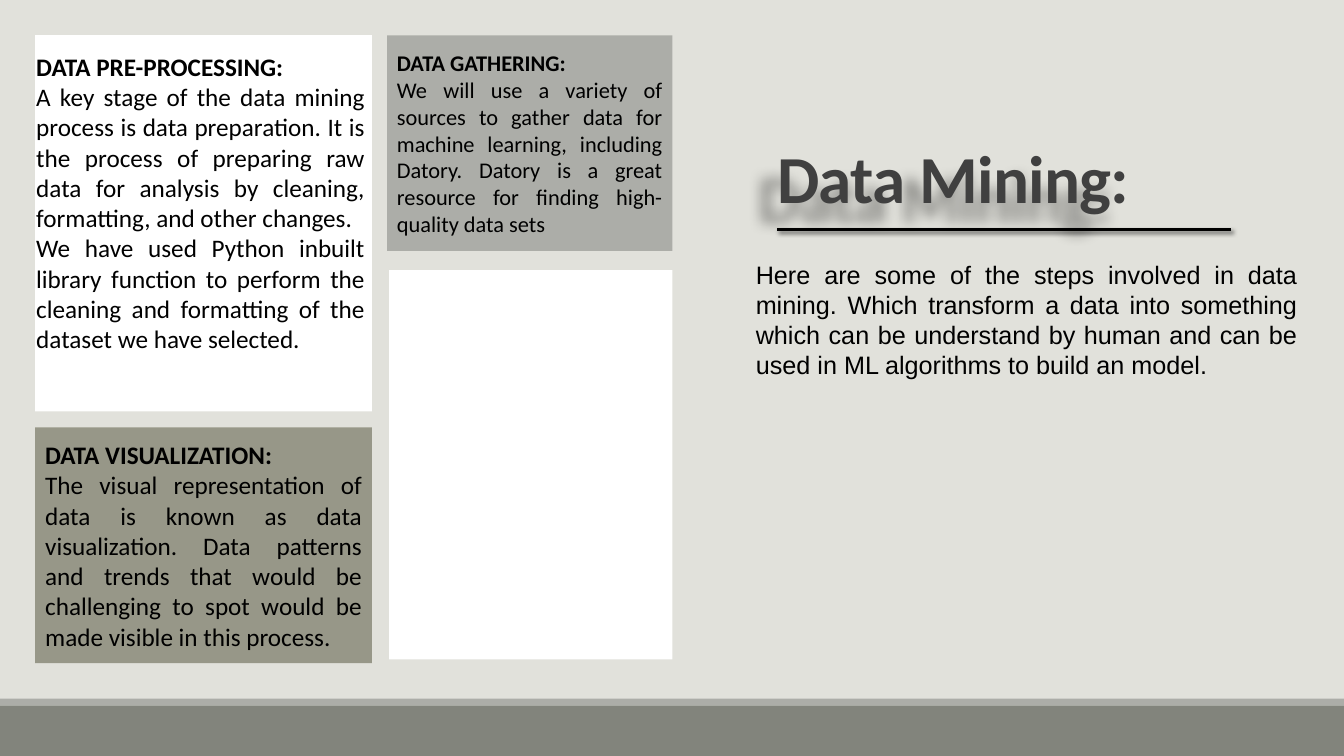
from lxml.etree import SubElement
from pptx import Presentation
from pptx.dml.color import RGBColor
from pptx.enum.shapes import MSO_CONNECTOR, MSO_SHAPE
from pptx.enum.text import MSO_ANCHOR, PP_ALIGN
from pptx.oxml.ns import qn
from pptx.util import Pt

PAPER = RGBColor(0xE1, 0xE1, 0xDB)
WHITE = RGBColor(0xFF, 0xFF, 0xFF)
SILVER = RGBColor(0xAC, 0xAD, 0xA8)
OLIVE = RGBColor(0x79, 0x79, 0x65)
STONE = RGBColor(0x82, 0x84, 0x7C)
INK = RGBColor(0x40, 0x40, 0x40)
BLACK = RGBColor(0, 0, 0)

GATHERING = [
    "We will use a variety of sources to gather data for machine learning, including "
    "Datory. Datory is a great resource for finding high-quality data sets",
]
VISUALIZATION = [
    "The visual representation of data is known as data visualization. Data patterns and "
    "trends that would be challenging to spot would be made visible in this process.",
]
PREPROCESSING = [
    "A key stage of the data mining process is data preparation. It is the process of "
    "preparing raw data for analysis by cleaning, formatting, and other changes.",
    "We have used Python inbuilt library function to perform the cleaning and formatting "
    "of the dataset we have selected.",
]
INTRO = (
    "Here are some of the steps involved in data mining. Which transform a data into "
    "something which can be understand by human and can be used in ML algorithms to "
    "build an model."
)


def add_shadow(s, blur, dist, angle, opacity):
    """Give a shape a black outer shadow; opacity is in percent."""
    effects = SubElement(s._element.spPr, qn("a:effectLst"))
    shadow = SubElement(effects, qn("a:outerShdw"), blurRad=str(Pt(blur)),
                        dist=str(Pt(dist)), dir=str(angle * 60000),
                        algn="tl", rotWithShape="0")
    color = SubElement(shadow, qn("a:srgbClr"), val=str(BLACK))
    SubElement(color, qn("a:alpha"), val=str(opacity * 1000))


def add_panel(slide, x, y, w, h, color, opacity=100):
    """Add a borderless filled rectangle."""
    s = slide.shapes.add_shape(MSO_SHAPE.RECTANGLE, Pt(x), Pt(y), Pt(w), Pt(h))
    s.shadow.inherit = False
    s.fill.solid()
    s.fill.fore_color.rgb = color
    s.line.fill.background()
    if opacity < 100:
        fill = s._element.spPr.xpath("./a:solidFill/a:srgbClr")[0]
        SubElement(fill, qn("a:alpha"), val=str(opacity * 1000))
    return s


def add_text_box(slide, x, y, w, h, anchor=MSO_ANCHOR.TOP):
    """Add an empty wrapping text box."""
    s = slide.shapes.add_textbox(Pt(x), Pt(y), Pt(w), Pt(h))
    s.text_frame.word_wrap = True
    s.text_frame.vertical_anchor = anchor
    return s


def style(p, text, size, font="Calibri", color=BLACK, bold=False, align=PP_ALIGN.JUSTIFY):
    """Fill a paragraph with text in one style."""
    p.text = text
    p.alignment = align
    p.font.size = Pt(size)
    p.font.name = font
    p.font.color.rgb = color
    p.font.bold = bold


def write_step(s, heading, body, size):
    """Write a bold heading and its justified paragraphs."""
    tf = s.text_frame
    tf.word_wrap = True
    style(tf.paragraphs[0], heading, size, bold=True, align=PP_ALIGN.LEFT)
    for text in body:
        style(tf.add_paragraph(), text, size)


def add_title(slide, text):
    """Add the shadowed title and the rule beneath it."""
    s = add_text_box(slide, 548, 49.7, 361.4, 108.7, MSO_ANCHOR.BOTTOM)
    p = s.text_frame.paragraphs[0]
    style(p, text, 48, color=INK, bold=True, align=PP_ALIGN.LEFT)
    p.line_spacing = 0.85
    p.runs[0]._r.get_or_add_rPr().set("spc", "-50")
    add_shadow(s, 10, 19, 135, 40)

    rule = slide.shapes.add_connector(
        MSO_CONNECTOR.STRAIGHT, Pt(555.1), Pt(164.2), Pt(879.1), Pt(164.2))
    rule.line.color.rgb = BLACK
    rule.line.width = Pt(2)
    add_shadow(rule, 3, 2, 45, 60)


def main():
    """Build the slide and save it."""
    prs = Presentation()
    prs.slide_width, prs.slide_height = Pt(960), Pt(540)
    slide = prs.slides.add_slide(prs.slide_layouts[6])
    slide.background.fill.solid()
    slide.background.fill.fore_color.rgb = PAPER

    add_title(slide, "Data Mining:")

    add_panel(slide, 25.2, 25.2, 240.5, 268.6, WHITE)
    gathering = add_panel(slide, 276.5, 25.2, 203.8, 154, SILVER)
    write_step(gathering, "DATA GATHERING:", GATHERING, 16)
    visualization = add_panel(slide, 25.2, 305.3, 240.5, 168.5, OLIVE, 70)
    write_step(visualization, "DATA VISUALIZATION:", VISUALIZATION, 18)
    add_panel(slide, 277.9, 193, 202.3, 278, WHITE)

    preprocessing = add_text_box(slide, 25.9, 33.1, 234.7, 268.6)
    tf = preprocessing.text_frame
    tf.margin_left = tf.margin_right = 0
    write_step(preprocessing, "DATA PRE-PROCESSING:", PREPROCESSING, 18)

    add_panel(slide, 0, 499, 960, 5, SILVER)
    add_panel(slide, 0, 504, 960, 36, STONE)

    intro = add_text_box(slide, 532.8, 181.4, 401, 94.3)
    style(intro.text_frame.paragraphs[0], INTRO, 18, font="Arial")

    prs.save("out.pptx")


if __name__ == "__main__":
    main()
